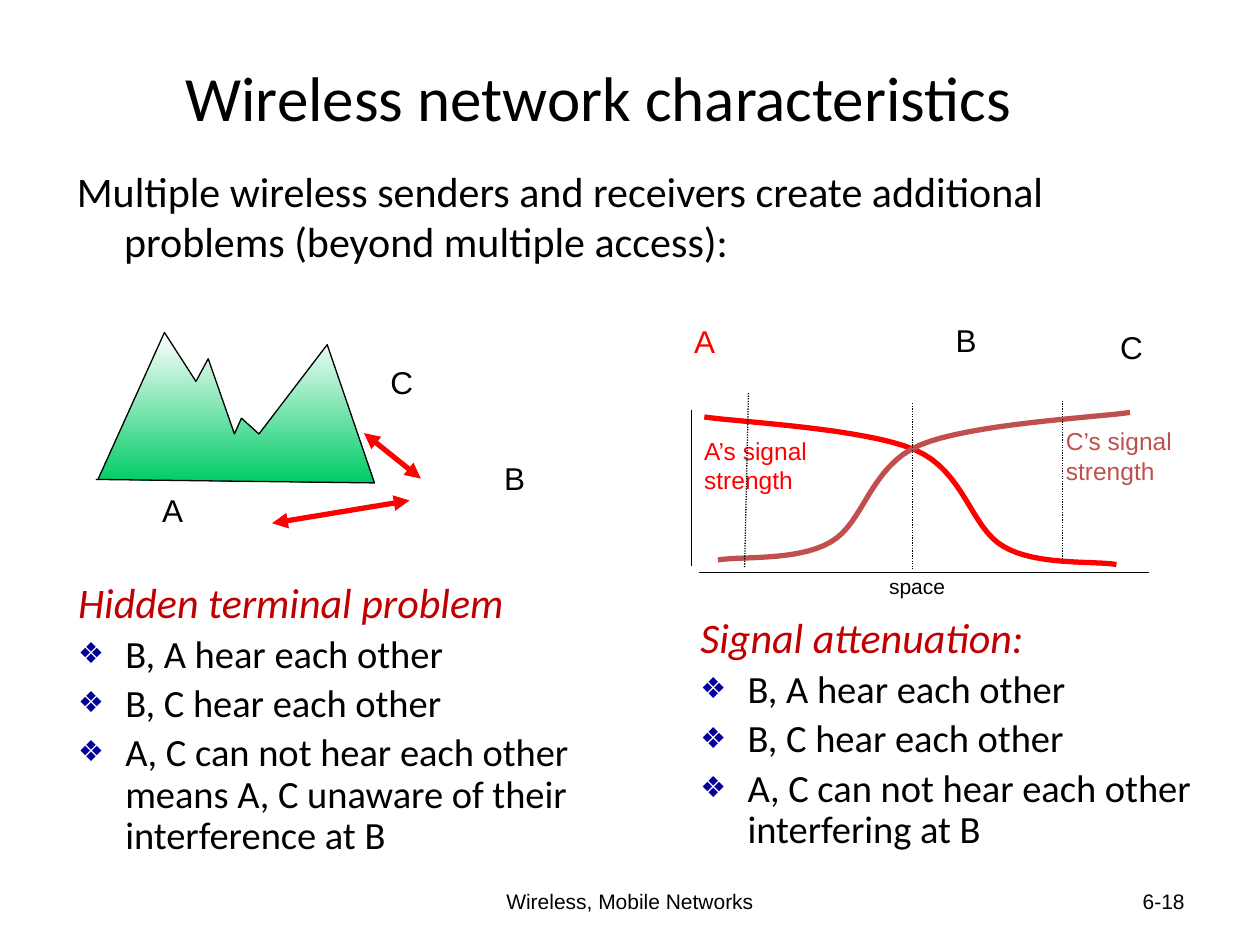
from dataclasses import dataclass

from lxml import etree
from pptx import Presentation
from pptx.dml.color import RGBColor
from pptx.enum import dml, shapes, text
from pptx.oxml import ns
from pptx.util import Pt


@dataclass(frozen=True)
class Theme:
    heading_font: str = "Calibri"
    label_font: str = "Arial"
    ink: str = "000000"
    signal_a: str = "FF0000"
    signal_c: str = "C0504D"
    heading: str = "C00000"
    bullet: str = "000099"
    peak: str = "FFFFFF"
    valley: str = "00CC66"
    title_size: int = 36
    lead_size: int = 24
    list_size: int = 22
    node_size: int = 18
    signal_size: int = 14
    small_size: int = 12
    thin: float = 0.75
    thick: float = 3


THEME = Theme()
LEFT, CENTER, RIGHT = text.PP_ALIGN.LEFT, text.PP_ALIGN.CENTER, text.PP_ALIGN.RIGHT
HANG = 27


def rgb(value):
    return RGBColor.from_string(value)


def style(paragraph, size, color=THEME.ink, face=THEME.heading_font, align=LEFT, italic=False):
    paragraph.alignment = align
    font = paragraph.font
    font.name, font.size, font.italic, font.bold = face, Pt(size), italic, False
    font.color.rgb = rgb(color)


def hang(paragraph, bullet=False):
    props = paragraph._p.get_or_add_pPr()
    props.set("marL", str(Pt(HANG)))
    props.set("indent", str(-Pt(HANG)))
    if not bullet:
        etree.SubElement(props, ns.qn("a:buNone"))
        return
    color = etree.SubElement(props, ns.qn("a:buClr"))
    etree.SubElement(color, ns.qn("a:srgbClr"), val=THEME.bullet)
    etree.SubElement(props, ns.qn("a:buSzPct"), val="75000")
    etree.SubElement(props, ns.qn("a:buChar"), char="❖")


def place(holder, box):
    holder.left, holder.top, holder.width, holder.height = map(Pt, box)
    frame = holder.text_frame
    frame.auto_size = text.MSO_AUTO_SIZE.NONE
    frame.word_wrap = True
    return frame


def add_title(holder, box, words):
    frame = place(holder, box)
    frame.vertical_anchor = text.MSO_ANCHOR.MIDDLE
    frame.text = words
    style(frame.paragraphs[0], THEME.title_size, align=CENTER)


def add_intro(holder, box, words):
    frame = place(holder, box)
    frame.vertical_anchor = text.MSO_ANCHOR.TOP
    frame.text = words
    paragraph = frame.paragraphs[0]
    paragraph.space_before = Pt(0)
    hang(paragraph)
    style(paragraph, THEME.lead_size)


def add_findings(holder, box, heading, findings):
    frame = place(holder, box)
    frame.vertical_anchor = text.MSO_ANCHOR.TOP
    frame.text = "\n".join([heading, *findings])
    for index, paragraph in enumerate(frame.paragraphs):
        paragraph.line_spacing = 0.9
        paragraph.space_before = Pt(0.2 * THEME.list_size if index else 0)
        hang(paragraph, bullet=index > 0)
        if index:
            style(paragraph, THEME.list_size)
        else:
            style(paragraph, THEME.lead_size, THEME.heading, italic=True)


def add_label(slide, box, words, size, color=THEME.ink, align=LEFT, wrap=False, middle=False):
    label = slide.shapes.add_textbox(*map(Pt, box))
    frame = label.text_frame
    frame.word_wrap = wrap
    if middle:
        frame.vertical_anchor = text.MSO_ANCHOR.MIDDLE
    frame.text = words
    for paragraph in frame.paragraphs:
        style(paragraph, size, color, THEME.label_font, align)


def add_line(slide, origin, start, end, color=THEME.ink, width=THEME.thin, dash=None, arrows=False):
    x, y = origin
    line = slide.shapes.add_connector(
        shapes.MSO_CONNECTOR.STRAIGHT,
        Pt(x + start[0]), Pt(y + start[1]), Pt(x + end[0]), Pt(y + end[1]))
    line.line.color.rgb = rgb(color)
    line.line.width = Pt(width)
    if dash:
        line.line.dash_style = dash
    if arrows:
        for end_tag in ("a:headEnd", "a:tailEnd"):
            etree.SubElement(line.line._get_or_add_ln(), ns.qn(end_tag), type="triangle")
    etree.SubElement(line._element.spPr, ns.qn("a:effectLst"))


def add_outline(slide, origin, points, color, width, close=False):
    x, y = origin
    first, *rest = [(Pt(x + px), Pt(y + py)) for px, py in points]
    builder = slide.shapes.build_freeform(*first, scale=1.0)
    builder.add_line_segments(rest, close=close)
    outline = builder.convert_to_shape()
    outline.shadow.inherit = False
    outline.line.color.rgb = rgb(color)
    outline.line.width = Pt(width)
    outline.fill.background()
    return outline


def bezier_points(knots, steps=16):
    points = [knots[0]]
    for i in range(0, len(knots) - 1, 3):
        for step in range(1, steps + 1):
            t = step / steps
            weights = ((1 - t) ** 3, 3 * t * (1 - t) ** 2, 3 * t * t * (1 - t), t ** 3)
            points.append(tuple(
                sum(w * knot[axis] for w, knot in zip(weights, knots[i:i + 4]))
                for axis in (0, 1)))
    return points


def add_hidden_terminal(slide, origin):
    x, y = origin
    ridge = [(2, 94), (40, 10), (58, 38), (65, 25), (80, 68), (84, 59),
             (94, 68), (133, 17), (160, 96), (1, 94)]
    mountain = add_outline(slide, origin, ridge, THEME.ink, THEME.thin, close=True)
    mountain.fill.gradient()
    mountain.fill.gradient_angle = 270
    for stop, color in zip(mountain.fill.gradient_stops, (THEME.peak, THEME.valley)):
        stop.color.rgb = rgb(color)
    for start, end in (((101.5, 119), (180, 106)), ((154, 67.5), (186.5, 93.5))):
        add_line(slide, origin, start, end, THEME.signal_a, THEME.thick, arrows=True)
    for node, dx, dy in (("A", 31.5, 97), ("B", 227, 79), ("C", 162, 24)):
        add_label(slide, (x + dx, y + dy, 27, 29), node, THEME.node_size)


def add_attenuation(slide, origin):
    x, y = origin
    nodes = (("A", -0.5, 0.5, THEME.signal_a), ("B", 149, 0, THEME.ink), ("C", 243, 4, THEME.ink))
    for node, dx, dy, color in nodes:
        add_label(slide, (x + dx, y + dy, 27, 29), node, THEME.node_size, color)
    add_label(slide, (x + 5.3, y + 65.5, 73, 41), "A’s signal\nstrength",
              THEME.signal_size, THEME.signal_a, wrap=True)
    add_line(slide, origin, (9.5, 147), (266.5, 147))
    add_line(slide, origin, (5.3, 54), (5.3, 143.3))

    fall = [(12.5, 58.3), (32, 61.2), (104, 64.8), (132.7, 77), (161.5, 89.3), (164.4, 121.7),
            (183.8, 132.5), (202.6, 143.3), (235, 140.4), (248, 142.6)]
    rise = [(268.3 - px, py - 2.6) for px, py in fall]
    add_outline(slide, origin, bezier_points(fall), THEME.signal_a, THEME.thick)
    add_label(slide, (x + 111, y + 144, 47, 22), "space", THEME.small_size)
    add_outline(slide, origin, bezier_points(rise), THEME.signal_c, THEME.thick)
    add_label(slide, (x + 212, y + 60, 76, 41), "C’s signal\nstrength",
              THEME.signal_size, THEME.signal_c)
    for start, end in (((37.7, 44.6), (35.5, 144.7)), ((131.3, 50.4), (131.3, 145.4)),
                       ((217, 49), (217, 141.8))):
        add_line(slide, origin, start, end, dash=dml.MSO_LINE.ROUND_DOT)


def add_footer(slide, top):
    add_label(slide, (246, top, 228, 29), "Wireless, Mobile Networks",
              THEME.small_size, align=CENTER, wrap=True, middle=True)
    add_label(slide, (516, top, 168, 29), "6-18",
              THEME.small_size, align=RIGHT, wrap=True, middle=True)


def main():
    deck = Presentation()
    deck.slide_width, deck.slide_height = Pt(720), Pt(540)
    slide = deck.slides.add_slide(deck.slide_layouts.get_by_name("Comparison"))
    holders = {holder.placeholder_format.idx: holder for holder in slide.placeholders}
    spare = holders[3]._element
    spare.getparent().remove(spare)

    add_title(holders[0], (36, 10, 612, 90), "Wireless network characteristics")
    add_intro(holders[1], (36.7, 90.7, 612, 88),
              "Multiple wireless senders and receivers create additional "
              "problems (beyond multiple access):")
    shared = ["B, A hear each other", "B, C hear each other"]
    add_findings(holders[2], (37.4, 329, 327, 176), "Hidden terminal problem",
                 shared + ["A, C can not hear each other means A, C unaware of "
                           "their interference at B"])
    add_findings(holders[4], (393, 349.2, 327, 105), "Signal attenuation:",
                 shared + ["A, C can not hear each other interfering at B"])
    add_hidden_terminal(slide, (54, 180))
    add_attenuation(slide, (390, 180))
    add_footer(slide, 500.4)
    deck.save("out.pptx")


if __name__ == "__main__":
    main()
